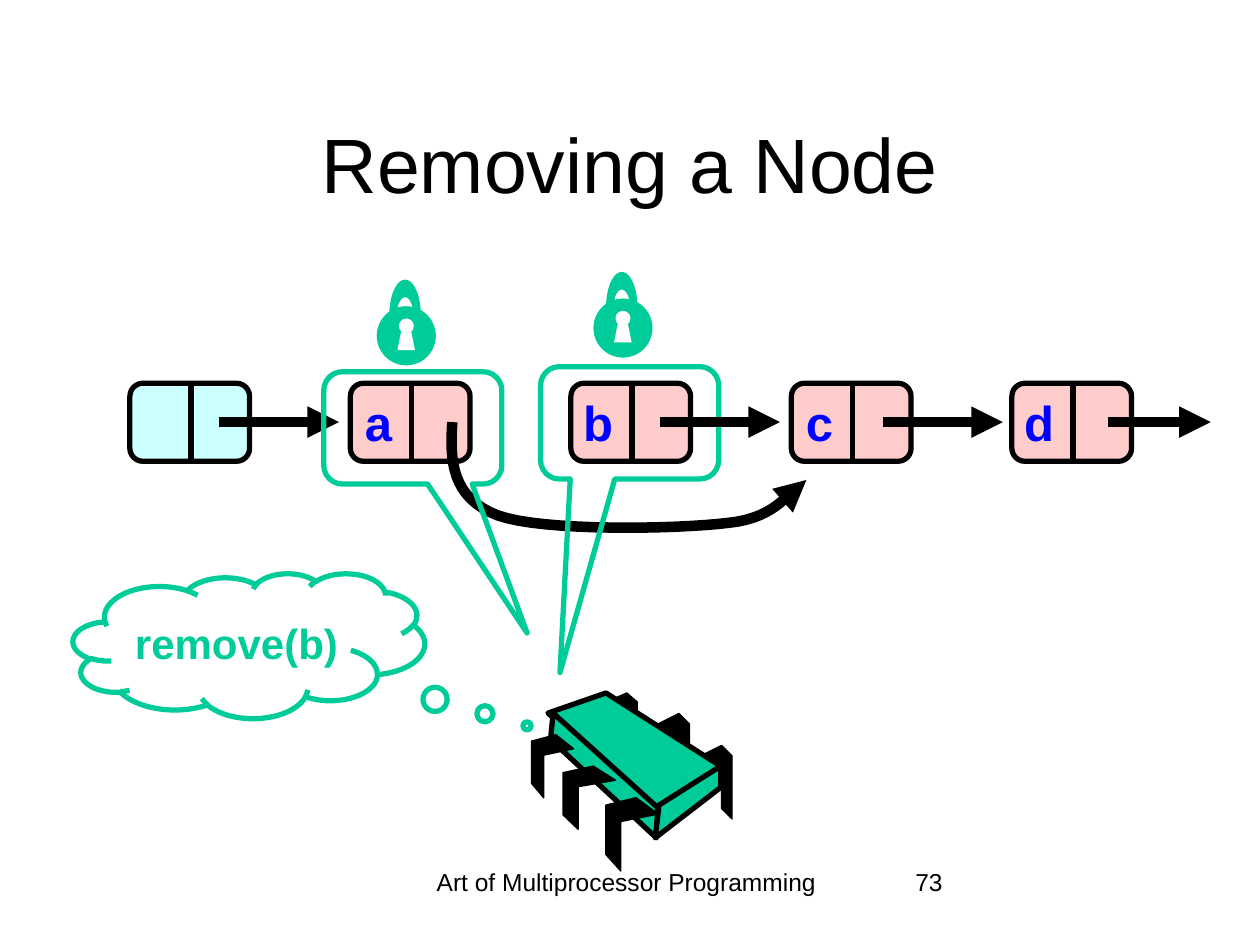
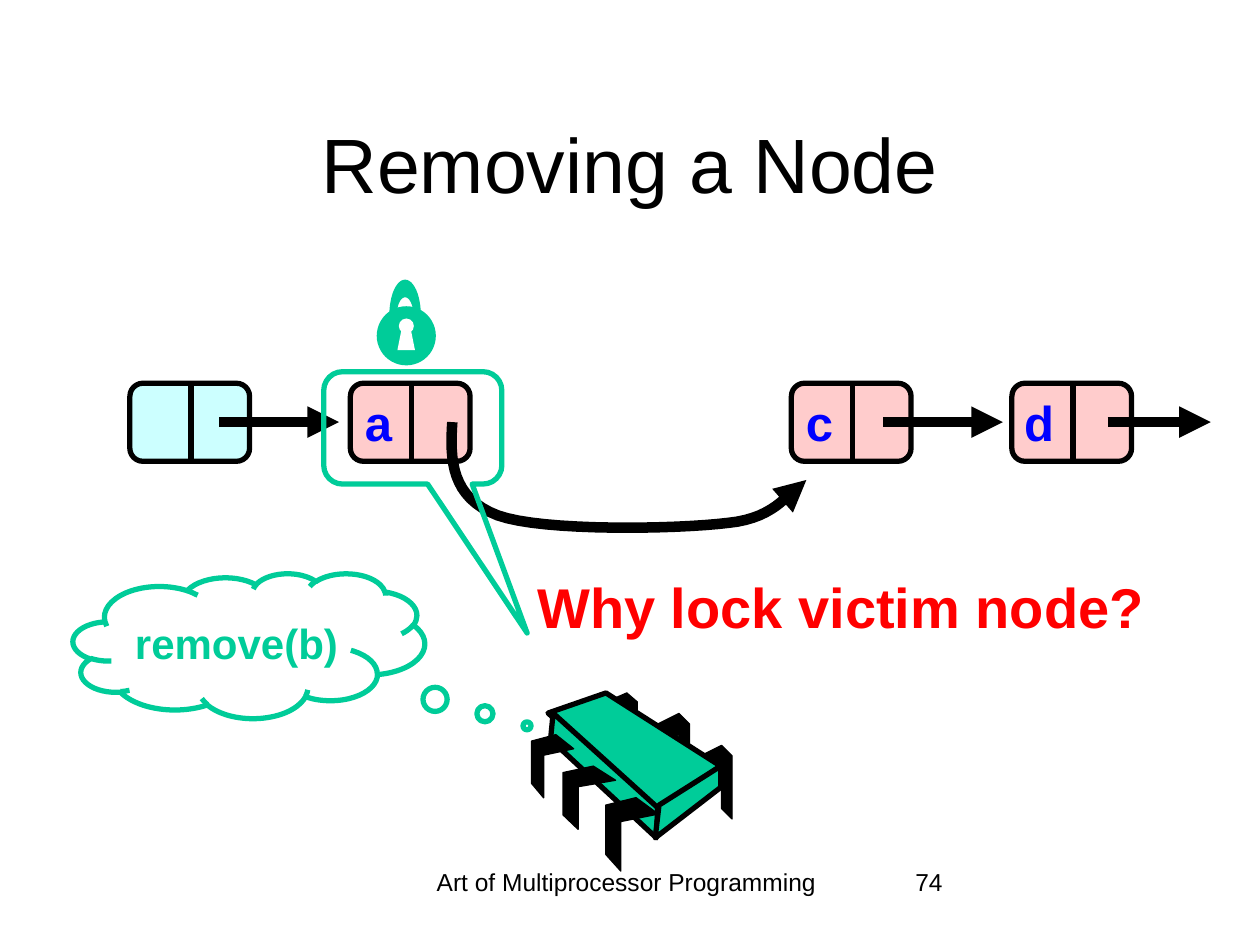
import math
from dataclasses import dataclass

import pptx
import pptx.dml.color
import pptx.enum.shapes
import pptx.enum.text
import pptx.oxml.ns
import pptx.util
from lxml import etree

Pt = pptx.util.Pt
Preset = pptx.enum.shapes.MSO_SHAPE
Align = pptx.enum.text.PP_ALIGN
Anchor = pptx.enum.text.MSO_ANCHOR
qn = pptx.oxml.ns.qn


@dataclass(frozen=True)
class Theme:
    font: str = "Arial"
    black: str = "000000"
    white: str = "FFFFFF"
    thread: str = "00CC99"
    sentinel: str = "CCFFFF"
    node: str = "FFCCCC"
    key: str = "0000FF"
    question: str = "FF0000"
    title_size: int = 44
    question_size: int = 32
    key_size: int = 28
    thought_size: int = 24
    footer_size: int = 14
    outline: float = 3
    pointer: float = 6
    leg_outline: float = 0.75


THEME = Theme()

NODE_LEFT, NODE_TOP, NODE_PITCH = 74.2, 219, 126
NODE_WIDTH, NODE_HEIGHT = 68.4, 44.6
DIVIDER_OFFSET = 35
POINTER_Y = 241.2
SLOTS = {"": 0, "a": 1, "b": 2, "c": 3, "d": 4}
POINTERS = {"": (125.3, 193.7), "b": (377.3, 445.7), "c": (504.7, 573.1), "d": (632.9, 691.9)}
LOCKS = {"a": (215.3, 175), "b": (339.1, 170.6)}
CLAIMS = {"a": ((185, 212.4), (0.642, 1.826, 0.167)), "b": ((308.9, 209.5), (-0.391, 2.223, 0.167))}

BYPASS_START = (258.5, 241.2)
BYPASS_CURVES = [
    [(257, 262.8), (257.8, 284.4), (284.4, 294.5)],
    [(310.3, 303.8), (386.6, 302.4), (416.2, 298.8)],
    [(445, 295.9), (451.4, 279.4), (460.8, 274.3)],
]

BACK_LEG = [(0, 6), (12, 0), (18, 6), (18, 42), (12, 36), (12, 12), (0, 18)]
FRONT_LEG = [(17.3, 0), (30, 9.4), (8.6, 13.7), (8.6, 42), (0, 32.5), (0, 4.3)]
BACK_LEGS = [((400.3, 426), 1, 1), ((376, 407.7), 1, 1), ((346.2, 396), 1, 0.86)]
FRONT_LEGS = [((346.2, 455.8), 1, 1), ((321.8, 437.8), 1, 0.86), ((303.8, 419.8), 0.8, 0.86)]
CHIP_FACES = [
    [(346.3, 396), (411.8, 437.8), (375.1, 463), (313.2, 407.5)],
    [(316.1, 407.5), (375.8, 461.5), (375.1, 478.8), (314.6, 422.6)],
    [(411.8, 437.8), (411.8, 450), (374.4, 478.8), (376.6, 460.1)],
]


def rgb(color):
    return pptx.dml.color.RGBColor.from_string(color)


def paint(shape, fill=None, line=None, width=THEME.outline):
    shape.shadow.inherit = False
    if fill:
        shape.fill.solid()
        shape.fill.fore_color.rgb = rgb(fill)
    else:
        shape.fill.background()
    if line:
        shape.line.color.rgb = rgb(line)
        shape.line.width = Pt(width)
    else:
        shape.line.fill.background()


def write_text(frame, text, size, color=THEME.black, bold=False, align=Align.LEFT,
               anchor=Anchor.TOP, wrap=True):
    frame.word_wrap = wrap
    frame.vertical_anchor = anchor
    paragraph = frame.paragraphs[0]
    paragraph.alignment = align
    run = paragraph.add_run()
    run.text = text
    run.font.name = THEME.font
    run.font.size = Pt(size)
    run.font.bold = bold
    run.font.color.rgb = rgb(color)


def add_label(shapes, box, text, size, **text_format):
    label = shapes.add_textbox(*map(Pt, box))
    write_text(label.text_frame, text, size, **text_format)


def add_preset(shapes, preset, box, adjustments=(), **look):
    shape = shapes.add_shape(preset, *map(Pt, box))
    for index, value in enumerate(adjustments):
        shape.adjustments[index] = value
    paint(shape, **look)
    return shape


def add_outline(shapes, points, closed=True, **look):
    start, *rest = [(Pt(x), Pt(y)) for x, y in points]
    builder = shapes.build_freeform(*start)
    builder.add_line_segments(rest, close=closed)
    outline = builder.convert_to_shape()
    paint(outline, **look)
    return outline


def add_line(shapes, start, end, width):
    line = shapes.add_connector(pptx.enum.shapes.MSO_CONNECTOR.STRAIGHT, *map(Pt, (*start, *end)))
    line.line.color.rgb = rgb(THEME.black)
    line.line.width = Pt(width)
    etree.SubElement(line._element.spPr, qn("a:effectLst"))
    return line


def add_arrowhead(shape):
    etree.SubElement(shape.line._get_or_add_ln(), qn("a:tailEnd"), type="triangle")


def add_pointer(slide, key):
    start, end = POINTERS[key]
    pointer = add_line(slide.shapes, (start, POINTER_Y), (end, POINTER_Y), THEME.pointer)
    add_arrowhead(pointer)


def add_node(slide, key):
    shapes = slide.shapes.add_group_shape().shapes
    left = NODE_LEFT + SLOTS[key] * NODE_PITCH
    add_preset(shapes, Preset.ROUNDED_RECTANGLE, (left, NODE_TOP, NODE_WIDTH, NODE_HEIGHT), [0.167],
               fill=THEME.node if key else THEME.sentinel, line=THEME.black)
    divider = left + DIVIDER_OFFSET
    add_line(shapes, (divider, NODE_TOP - 0.5), (divider, NODE_TOP + NODE_HEIGHT + 0.5), THEME.outline)
    if key:
        add_label(shapes, (left, 221, 31, 41), key, THEME.key_size, color=THEME.key, bold=True,
                  align=Align.RIGHT, wrap=False)


def bezier(start, controls, steps=16):
    corners = [start, *controls]
    for step in range(1, steps + 1):
        t = step / steps
        weights = [math.comb(3, k) * t**k * (1 - t) ** (3 - k) for k in range(4)]
        yield tuple(sum(w * corner[axis] for w, corner in zip(weights, corners)) for axis in (0, 1))


def add_bypass(slide):
    points = [BYPASS_START]
    for controls in BYPASS_CURVES:
        points.extend(bezier(points[-1], controls))
    bypass = add_outline(slide.shapes, points, closed=False, line=THEME.black, width=THEME.pointer)
    add_arrowhead(bypass)


def add_legs(shapes, leg, placements):
    for (left, top), x_scale, y_scale in placements:
        points = [(left + x * x_scale, top + y * y_scale) for x, y in leg]
        add_outline(shapes, points, fill=THEME.black, line=THEME.black, width=THEME.leg_outline)


def add_chip(slide):
    shapes = slide.shapes.add_group_shape().shapes
    add_legs(shapes, BACK_LEG, BACK_LEGS)
    for face in CHIP_FACES:
        add_outline(shapes, face, fill=THEME.thread, line=THEME.black)
    add_legs(shapes, FRONT_LEG, FRONT_LEGS)


def add_claim(slide, key):
    corner, adjustments = CLAIMS[key]
    add_preset(slide.shapes, Preset.ROUNDED_RECTANGULAR_CALLOUT, (*corner, 101.8, 64.2), adjustments,
               line=THEME.thread)


def half_ellipse(center_x, base_y, radius_x, radius_y, steps=24):
    angles = [math.pi * step / steps for step in range(steps + 1)]
    return [(center_x - radius_x * math.cos(a), base_y - radius_y * math.sin(a)) for a in angles]


def add_lock(slide, key):
    shapes = slide.shapes.add_group_shape().shapes
    left, top = LOCKS[key]
    add_preset(shapes, Preset.OVAL, (left, top, 33.8, 33.8), fill=THEME.thread)
    add_preset(shapes, Preset.OVAL, (left + 12.6, top + 7, 8.6, 8.6), fill=THEME.white)
    keyhole = [(11.8, 25), (14.3, 12.5), (19.3, 12.5), (21.8, 25)]
    add_outline(shapes, [(left + x, top + y) for x, y in keyhole], fill=THEME.white)
    center, base = left + 16.2, top + 5
    shackle = half_ellipse(center, base, 4.7, 10.1) + half_ellipse(center, base, 9, 20.2)[::-1]
    add_outline(shapes, shackle, fill=THEME.thread)


def add_thought(slide):
    thought = add_preset(slide.shapes, Preset.CLOUD_CALLOUT, (41.8, 327.6, 200.9, 82.8), (0.791, 0.553),
                         line=THEME.thread)
    write_text(thought.text_frame, "remove(b)", THEME.thought_size, color=THEME.thread, bold=True,
               align=Align.CENTER, anchor=Anchor.MIDDLE)


def add_frame(deck, number):
    slide = deck.slides.add_slide(deck.slide_layouts[5])
    title = slide.shapes.title
    title.left, title.top, title.width, title.height = map(Pt, (54, 48, 612, 90))
    write_text(title.text_frame, "Removing a Node", THEME.title_size,
               align=Align.CENTER, anchor=Anchor.MIDDLE)
    add_label(slide.shapes, (223, 492, 270, 36), "Art of Multiprocessor Programming",
              THEME.footer_size, align=Align.CENTER)
    add_label(slide.shapes, (516, 492, 150, 36), str(number), THEME.footer_size)
    return slide


def add_list_slide(deck, number, keys, locked):
    slide = add_frame(deck, number)
    for key in ["", *keys]:
        add_node(slide, key)
    add_pointer(slide, "")
    add_bypass(slide)
    add_chip(slide)
    for key in locked:
        add_claim(slide, key)
        add_lock(slide, key)
    for key in keys:
        if key in POINTERS:
            add_pointer(slide, key)
    add_thought(slide)
    return slide


def main():
    deck = pptx.Presentation()
    deck.slide_width, deck.slide_height = Pt(720), Pt(540)
    add_list_slide(deck, 73, keys="abcd", locked="ab")
    unlinked = add_list_slide(deck, 74, keys="acd", locked="a")
    add_label(unlinked.shapes, (277.2, 323.4, 406.8, 45.4), "Why lock victim node?",
              THEME.question_size, color=THEME.question, bold=True, align=Align.CENTER)
    deck.save("out.pptx")


if __name__ == "__main__":
    main()
